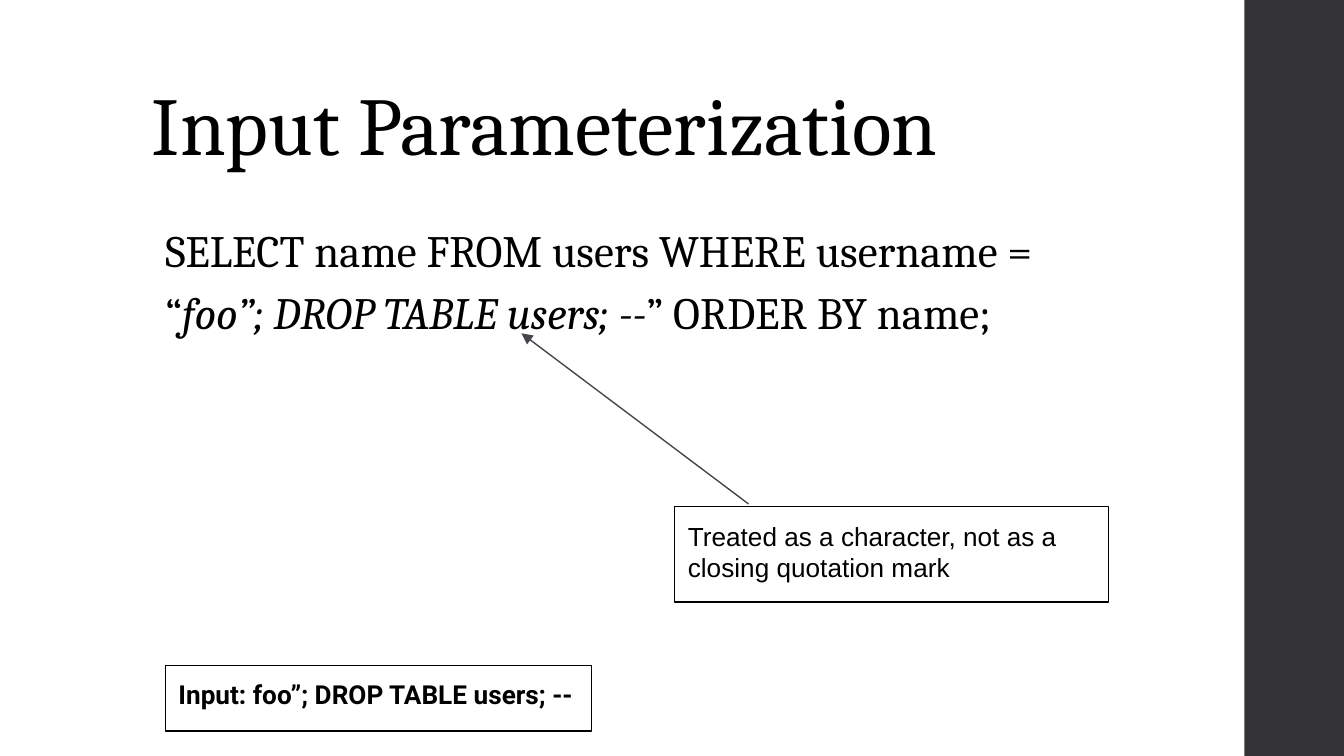
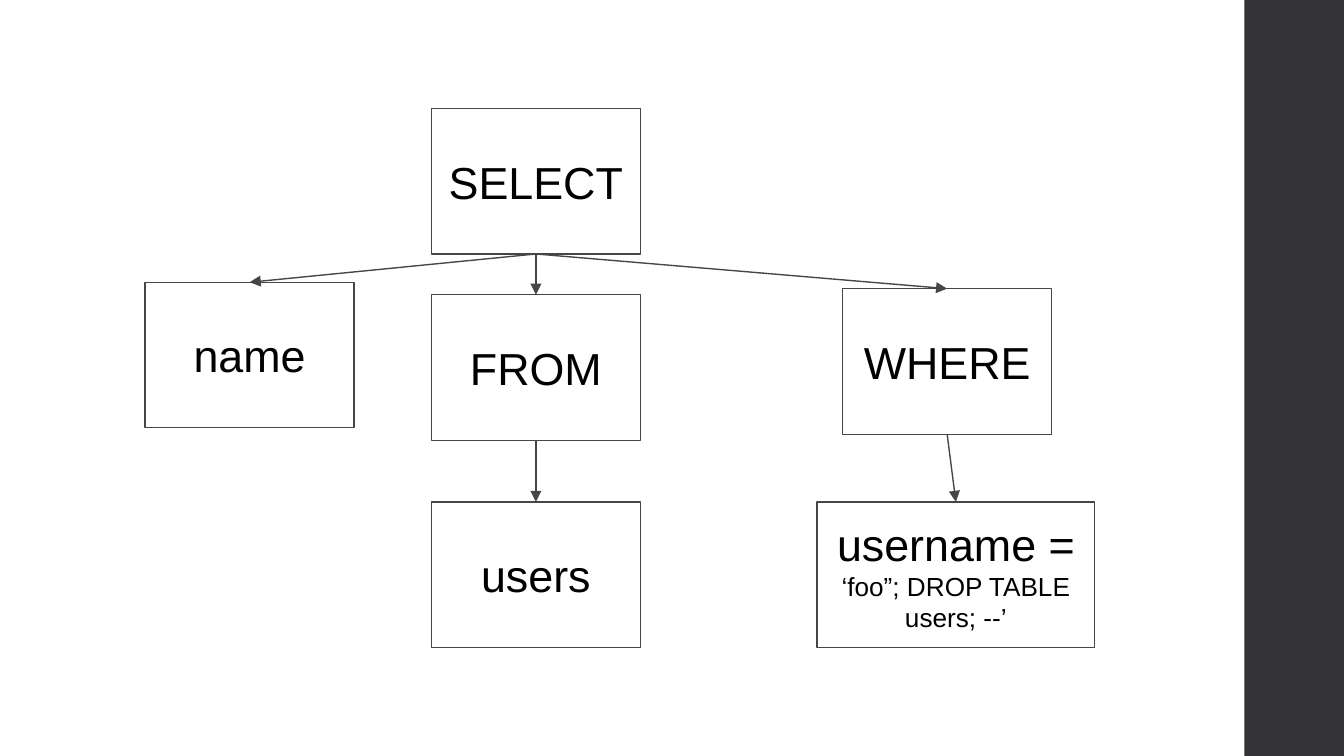
import pptx
import pptx.dml.color
import pptx.enum.shapes
import pptx.enum.text
import pptx.oxml.ns
import pptx.util
from lxml import etree

BLACK = pptx.dml.color.RGBColor(0x00, 0x00, 0x00)
BAND = pptx.dml.color.RGBColor(0x34, 0x34, 0x37)
OUTLINE = pptx.dml.color.RGBColor(0x46, 0x46, 0x4A)
SERIF, SANS, LABEL = "Cambria", "Arial", "Roboto"

SLIDE_W, SLIDE_H = pptx.util.Inches(10), pptx.util.Inches(5.625)
CELL = SLIDE_W // 100  # square grid: 100 columns by 56.25 rows
INSET = pptx.util.Inches(0.1)
NODE_W, NODE_H = 15.55, 10.83
TITLE_AND_CONTENT, BLANK = 1, 6

RECTANGLE = pptx.enum.shapes.MSO_SHAPE.RECTANGLE
ANCHOR = pptx.enum.text.MSO_ANCHOR
ALIGN = pptx.enum.text.PP_ALIGN
TOP, BOTTOM = 0, 2


def grid(*cells):
    return [round(cell * CELL) for cell in cells]


def place(placeholder, cells):
    (placeholder.left, placeholder.top,
     placeholder.width, placeholder.height) = grid(*cells)


def add_child(parent, tag, **attributes):
    etree.SubElement(parent, pptx.oxml.ns.qn(tag), **attributes)


def set_font(font, name, size, bold=None):
    font.name, font.size, font.bold = name, pptx.util.Pt(size), bold
    font.color.rgb = BLACK


def prepare_frame(frame, anchor):
    frame.word_wrap = True
    frame.auto_size = pptx.enum.text.MSO_AUTO_SIZE.NONE
    frame.vertical_anchor = anchor
    frame.margin_left = frame.margin_right = INSET
    frame.margin_top = frame.margin_bottom = INSET


def new_slide(prs, layout_index):
    """Add a slide with the dark band down its right side."""
    slide = prs.slides.add_slide(prs.slide_layouts[layout_index])
    band = slide.shapes.add_shape(RECTANGLE, *grid(92.6, 0, 7.4, 56.25))
    band.shadow.inherit = False
    band.fill.solid()
    band.fill.fore_color.rgb = BAND
    band.line.fill.background()
    return slide


def add_title(slide, text):
    title = slide.shapes.title
    place(title, (10.3, 3, 79.5, 10.9))
    prepare_frame(title.text_frame, ANCHOR.BOTTOM)
    title.text_frame.text = text
    paragraph = title.text_frame.paragraphs[0]
    paragraph.alignment = ALIGN.LEFT
    paragraph.line_spacing = 0.9
    set_font(paragraph.font, SERIF, 44)


def add_query(slide, before, user_input, after):
    """Fill the body with a query whose user input is in italics."""
    body = slide.placeholders[1]
    place(body, (10.3, 15, 70.5, 35.7))
    prepare_frame(body.text_frame, ANCHOR.TOP)
    paragraph = body.text_frame.paragraphs[0]
    paragraph.line_spacing = 1.15
    paragraph.space_before = pptx.util.Pt(0)
    paragraph.space_after = pptx.util.Pt(2)
    properties = paragraph._p.get_or_add_pPr()
    properties.set("marL", str(INSET))
    properties.set("indent", "0")
    add_child(properties, "a:buNone")
    set_font(paragraph.font, SERIF, 24)
    for text in (before, user_input, after):
        run = paragraph.add_run()
        run.text = text
        run.font.italic = text == user_input


def add_box(slide, cells, line_color, anchor):
    box = slide.shapes.add_shape(RECTANGLE, *grid(*cells))
    box.shadow.inherit = False
    box.fill.background()
    box.line.color.rgb = line_color
    box.line.width = pptx.util.Pt(0.75)
    prepare_frame(box.text_frame, anchor)
    return box


def add_note(slide, cells, text, font_name, bold=None):
    note = add_box(slide, cells, BLACK, ANCHOR.TOP)
    note.text_frame.text = text
    paragraph = note.text_frame.paragraphs[0]
    paragraph.alignment = ALIGN.LEFT
    set_font(paragraph.font, font_name, 14, bold)


def add_node(slide, left, top, text, detail=None, width=NODE_W):
    node = add_box(slide, (left, top, width, NODE_H), OUTLINE, ANCHOR.MIDDLE)
    paragraph = node.text_frame.paragraphs[0]
    paragraph.alignment = ALIGN.CENTER
    set_font(paragraph.font, SANS, 24)
    paragraph.add_run().text = text
    if detail:
        run = paragraph.add_run()
        run.text = detail
        run.font.size = pptx.util.Pt(14)
    return node


def add_arrow(slide, start=(0, 0), end=(0, 0)):
    arrow = slide.shapes.add_connector(
        pptx.enum.shapes.MSO_CONNECTOR.STRAIGHT, *grid(*start, *end))
    arrow.line.color.rgb = OUTLINE
    arrow.line.width = pptx.util.Pt(0.75)
    add_child(arrow.line._get_or_add_ln(), "a:tailEnd", type="triangle")
    add_child(arrow._element.spPr, "a:effectLst")
    return arrow


def link(slide, parent, child):
    arrow = add_arrow(slide)
    arrow.begin_connect(parent, BOTTOM)
    arrow.end_connect(child, TOP)


def build_parameterization(prs):
    slide = new_slide(prs, TITLE_AND_CONTENT)
    add_title(slide, "Input Parameterization")
    add_query(slide, "SELECT name FROM users WHERE username = “",
              "foo”; DROP TABLE users; --", "” ORDER BY name;")
    add_note(slide, (12.3, 49.5, 31.7, 4.9),
             "Input: foo”; DROP TABLE users; --", LABEL, bold=True)
    add_arrow(slide, (55.7, 37.5), (38.8, 24.8))
    add_note(slide, (50.2, 37.7, 32.3, 7.1),
             "Treated as a character, not as a closing quotation mark", SANS)


def build_query_tree(prs):
    slide = new_slide(prs, BLANK)
    middle, leaf_row = 32.1, 37.35
    select = add_node(slide, middle, 8.07, "SELECT")
    name = add_node(slide, 10.8, 21, "name")
    source = add_node(slide, middle, 21.93, "FROM")
    users = add_node(slide, middle, leaf_row, "users")
    where = add_node(slide, 62.7, 21.48, "WHERE")
    condition = add_node(slide, 60.8, leaf_row, "username = ",
                         "‘foo”; DROP TABLE users; --’", width=20.65)
    for parent, child in ((select, source), (select, name), (select, where),
                          (source, users), (where, condition)):
        link(slide, parent, child)


def main():
    prs = pptx.Presentation()
    prs.slide_width, prs.slide_height = SLIDE_W, SLIDE_H
    build_parameterization(prs)
    build_query_tree(prs)
    prs.save("out.pptx")


if __name__ == "__main__":
    main()
